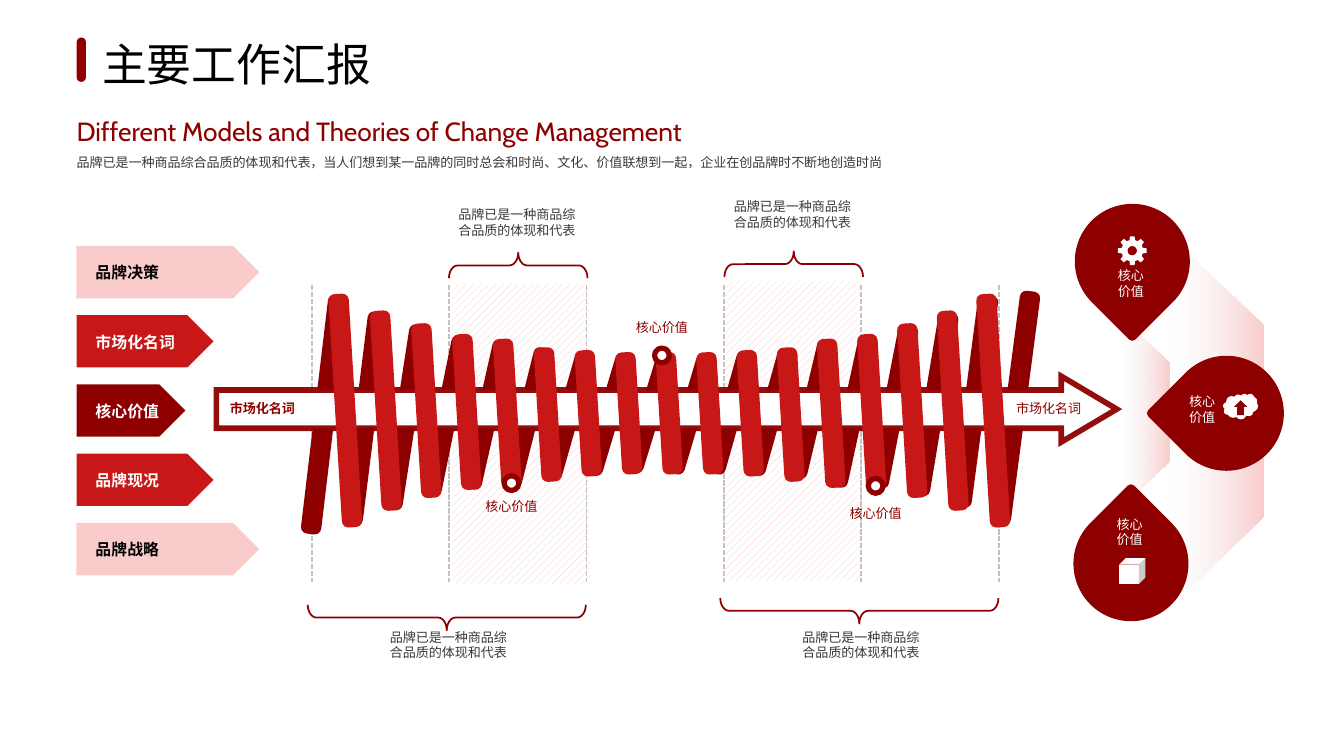
import math
import lxml.etree
import pptx
import pptx.dml.color
import pptx.enum.dml
import pptx.enum.shapes
import pptx.enum.text
import pptx.oxml.ns
import pptx.util

Pt = pptx.util.Pt
RGB = pptx.dml.color.RGBColor
KIND = pptx.enum.shapes.MSO_SHAPE
ALIGN = pptx.enum.text.PP_ALIGN
qn = pptx.oxml.ns.qn

DARK = RGB(0x8E, 0x00, 0x00)
RED = RGB(0xC7, 0x17, 0x17)
PINK = RGB(0xF9, 0xCB, 0xCB)
PALE = RGB(0xF7, 0xF5, 0xF6)
GREY = RGB(0xC5, 0xC3, 0xBF)
INK = RGB(0x3B, 0x38, 0x38)
WHITE = RGB(0xFF, 0xFF, 0xFF)
BLACK = RGB(0x00, 0x00, 0x00)

TITLE = "主要工作汇报"
SUBTITLE = "Different Models and Theories of Change Management"
SUMMARY = ("品牌已是一种商品综合品质的体现和代表，当人们想到某一品牌的同时总会和时尚、"
           "文化、价值联想到一起，企业在创品牌时不断地创造时尚")
CAPTION = "品牌已是一种商品综合品质的体现和代表"
VALUE = "核心价值"
TERM = "市场化名词"

TAGS = [
    ("品牌决策", 97.9, PINK, BLACK),
    ("市场化名词", 73.4, RED, WHITE),
    ("核心价值", 58.3, DARK, WHITE),
    ("品牌现况", 73.4, RED, WHITE),
    ("品牌战略", 97.9, PINK, BLACK),
]
TAG_LEFT, TAG_TOP, TAG_HEIGHT, TAG_PITCH = 41, 131.8, 28, 37.1

BACK_COILS = [
    (222.1, 128.9, 96.8), (224.3, 115.2, 97.1), (223.6, 100.1, 98.8),
    (222.8, 87.1, 101.5), (222.1, 81.4, 102.7), (223.6, 76.3, 104.1),
    (222.8, 70.6, 105.9), (222.1, 67, 106.6), (221.4, 65.5, 107),
    (222.1, 65.5, 106.5), (221.4, 67, 105.8), (220.7, 69.8, 105.6),
    (219.2, 75.6, 103.4), (220.7, 82.1, 102.3), (217.8, 88.6, 101),
    (216.4, 99.4, 99.4), (214.9, 114.5, 97.5), (218.5, 126, 97.5),
]
HALF_COILS = [
    (220, 125.3, 86.5), (220, 107.3, 86.5), (220, 93.6, 86.5),
    (220.7, 83.5, 86.5), (221.4, 79.9, 86.5), (222.1, 72, 86.5),
    (221.4, 67.7, 86.5), (221.4, 65.5, 86.5),
]
FRONT_COILS = HALF_COILS + [(221.4, 65.5, 86.5)] + HALF_COILS[::-1]
COIL_WIDTH = 10.9

GUIDE_LEFT, GUIDE_PITCH, GUIDE_TOP, GUIDE_BOTTOM = 167, 73.6, 152.6, 311.8
BANDS = [(279, 232.6), (425.2, 231.1)]
BRACES = [(239.4, 330.8, 149, 270), (277.6, 142.2, 74.2, 90),
          (425.2, 141.5, 74.2, 90), (460.4, 327.2, 149, 270)]
CAPTIONS = [(391.7, 105.1), (244.1, 109.4), (207.4, 335.5), (428.4, 335.5)]
MARKERS = [(274, 258.8, 266.4), (469.1, 260.3, 270), (354.6, 190.4, 170.6)]
WEDGES = [
    [(599.8, 169.2), (626.4, 194.4), (626.4, 247), (599, 273.6)],
    [(625, 124.6), (676.8, 174.2), (676.8, 276.5), (624.2, 328.3)],
]
DROPS = [(657, 221.4, 225, 633.6, 210.2), (606.6, 140, 135, 595.4, 142.6),
         (605.9, 302, 315, 594.7, 275.8)]

deck = pptx.Presentation()
deck.slide_width, deck.slide_height = Pt(720), Pt(405)
slide = deck.slides.add_slide(deck.slide_layouts[5])


def paint(shape, fill=None, line=None, weight=1):
    shape.shadow.inherit = False
    if fill is None:
        shape.fill.background()
    else:
        shape.fill.solid()
        shape.fill.fore_color.rgb = fill
    if line is None:
        shape.line.fill.background()
    else:
        shape.line.color.rgb = line
        shape.line.width = Pt(weight)
    return shape


def centred(kind, cx, cy, width, height, fill=None, line=None, weight=1,
            turn=0, adjust=(), shapes=slide.shapes):
    shape = shapes.add_shape(kind, Pt(cx - width / 2), Pt(cy - height / 2),
                             Pt(width), Pt(height))
    shape.rotation = turn
    for index, value in enumerate(adjust):
        shape.adjustments[index] = value
    return paint(shape, fill, line, weight)


def outline(points):
    corners = [(Pt(x), Pt(y)) for x, y in points]
    builder = slide.shapes.build_freeform(*corners[0])
    builder.add_line_segments(corners[1:])
    return builder.convert_to_shape()


def style(paragraph, size, color, font, bold=False, align=ALIGN.LEFT):
    paragraph.alignment = align
    paragraph.font.size = Pt(size)
    paragraph.font.name = font
    paragraph.font.bold = bold
    paragraph.font.color.rgb = color


def write(text, left, top, width, height, size=7, color=INK, font="Roboto",
          bold=False, align=ALIGN.LEFT, inset=1.44):
    frame = slide.shapes.add_textbox(Pt(left), Pt(top), Pt(width), Pt(height)).text_frame
    frame.word_wrap = True
    frame.margin_left = frame.margin_right = Pt(inset)
    frame.margin_top = frame.margin_bottom = Pt(inset)
    frame.text = text
    style(frame.paragraphs[0], size, color, font, bold, align)
    return frame.paragraphs[0]


def set_alpha(color_element, percent):
    lxml.etree.SubElement(color_element, qn("a:alpha")).set("val", str(percent * 1000))


def coil_row(coils, first, last, color):
    group = slide.shapes.add_group_shape()
    pitch = (last - first) / (len(coils) - 1)
    for index, (cy, length, turn) in enumerate(coils):
        centred(KIND.ROUNDED_RECTANGLE, first + index * pitch, cy, length, COIL_WIDTH,
                color, turn=turn, adjust=[0.314], shapes=group.shapes)


title = slide.shapes.title
title.left, title.top, title.width, title.height = Pt(47.5), Pt(15.8), Pt(160), Pt(36)
title.text_frame.text = TITLE
title.text_frame.word_wrap = False
style(title.text_frame.paragraphs[0], 24, BLACK, "Cabin")
centred(KIND.ROUNDED_RECTANGLE, 43.6, 32, 5, 23.8, DARK, adjust=[0.5])
write(SUBTITLE, 39.6, 60.5, 504.7, 20.2, 14.1, DARK, "Cabin")
write(SUMMARY, 39.6, 77, 458, 14.4, font="Cabin").line_spacing = 1.5

for cx, cy in BANDS:
    band = centred(KIND.RECTANGLE, cx, cy, GUIDE_PITCH, 160.6)
    band.fill.patterned()
    band.fill.pattern = pptx.enum.dml.MSO_PATTERN.WIDE_UPWARD_DIAGONAL
    band.fill.fore_color.rgb = PINK
    band.fill.back_color.rgb = WHITE

for index in range(6):
    x = Pt(GUIDE_LEFT + index * GUIDE_PITCH)
    guide = slide.shapes.add_connector(pptx.enum.shapes.MSO_CONNECTOR.STRAIGHT,
                                       x, Pt(GUIDE_TOP), x, Pt(GUIDE_BOTTOM))
    guide.line.color.rgb = GREY
    guide.line.width = Pt(0.94)
    guide.line.dash_style = pptx.enum.dml.MSO_LINE.SQUARE_DOT
    lxml.etree.SubElement(guide._element.spPr, qn("a:effectLst"))

coil_row(BACK_COILS, 173.9, 544, DARK)
arrow = centred(KIND.RIGHT_ARROW, 357.1, 219.2, 482.4, 35.3, WHITE, DARK, 3,
                adjust=[0.581, 0.843])
arrow_line = arrow.line._get_or_add_ln()
set_alpha(arrow_line.find(".//" + qn("a:srgbClr")), 94)
lxml.etree.SubElement(arrow_line, qn("a:miter")).set("lim", "800000")
write(TERM, 121.7, 213.1, 42.5, 11.5, color=DARK, bold=True)
write(TERM, 542.9, 213.1, 38.2, 11.5, color=DARK)
coil_row(FRONT_COILS, 185, 532.1, RED)

for points in WEDGES:
    wedge = paint(outline(points), PINK)
    wedge.fill.gradient()
    wedge.fill.gradient_angle = 0
    for stop, color, place in zip(wedge.fill.gradient_stops, (PALE, PINK), (0, 1)):
        stop.color.rgb = color
        stop.position = place
    set_alpha(wedge._element.spPr.find(".//" + qn("a:srgbClr")), 0)

for index, (label, width, fill, ink) in enumerate(TAGS):
    top = TAG_TOP + index * TAG_PITCH
    centred(KIND.PENTAGON, TAG_LEFT + width / 2, top + TAG_HEIGHT / 2,
            width, TAG_HEIGHT, fill)
    write(label, 49.7, top + 7.7, 51.8, 13, 8.5, ink, bold=True)

for cx, cy, turn, label_left, label_top in DROPS:
    centred(KIND.TEAR, cx, cy, 56.9, 56.9, DARK, DARK, 4.7, turn)
    write(VALUE, label_left, label_top, 20.9, 19.4, color=WHITE,
          align=ALIGN.CENTER, inset=0.72)

for cx, cy, label_top in MARKERS:
    centred(KIND.OVAL, cx, cy, 7.9, 7.9, WHITE, DARK, 2.82)
    write(VALUE, cx - 18.4, label_top, 36.7, 10.8, color=DARK,
          align=ALIGN.CENTER, inset=0.72)

centred(KIND.CLOUD, 664.6, 217.8, 18.7, 13.7, WHITE)
centred(KIND.UP_ARROW, 664.6, 218.4, 7.2, 7.9, DARK)
centred(KIND.CUBE, 606.6, 306, 14, 14, WHITE)

gear = []
for tooth in range(8):
    for offset, radius in ((-15, 5.8), (-9, 7.8), (9, 7.8), (15, 5.8)):
        angle = math.radians(tooth * 45 + offset)
        gear.append((606.6 + radius * math.cos(angle), 134.3 + radius * math.sin(angle)))
paint(outline(gear), WHITE)
centred(KIND.OVAL, 606.6, 134.3, 5, 5, DARK)

for left, top in CAPTIONS:
    write(CAPTION, left, top, 68.4, 20.2)
for cx, cy, span, turn in BRACES:
    centred(KIND.LEFT_BRACE, cx, cy, 13.7, span, None, DARK, 0.94, turn, [0.341, 0.5])

deck.save("out.pptx")
